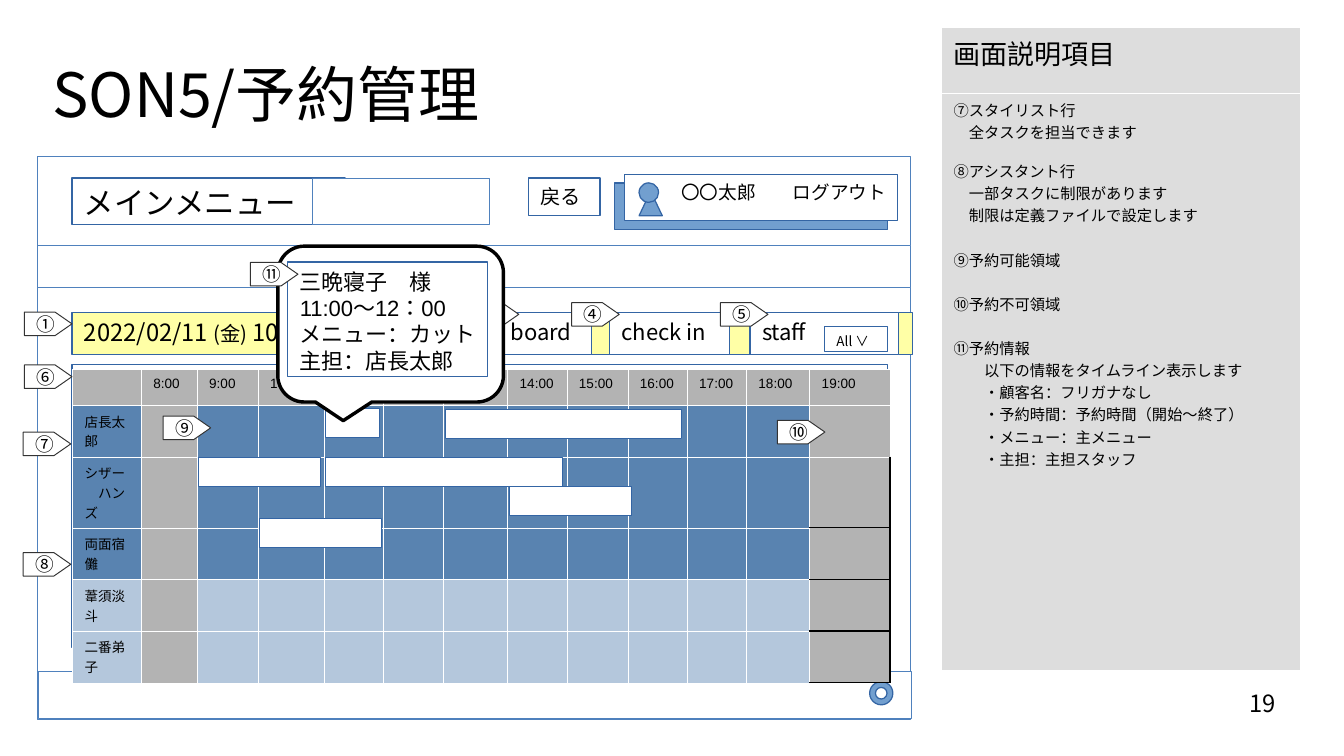
"""Build the booking management screen slide."""
import itertools
import lxml.etree
import pptx
import pptx.dml.color
import pptx.enum.shapes
import pptx.enum.text
import pptx.oxml.ns
import pptx.util

Pt = pptx.util.Pt
RGB = pptx.dml.color.RGBColor
qn = pptx.oxml.ns.qn
KIND = pptx.enum.shapes.MSO_SHAPE
ALIGN = pptx.enum.text.PP_ALIGN
ANCHOR = pptx.enum.text.MSO_ANCHOR

WHITE = RGB(0xFF, 0xFF, 0xFF)
BLACK = RGB(0, 0, 0)
EDGE = RGB(0x34, 0x65, 0xA4)
FRAME = RGB(0x4F, 0x81, 0xBD)
BLUE = RGB(0x72, 0x9F, 0xCF)
CREAM = RGB(0xFF, 0xFF, 0xA6)
PANEL = RGB(0xDD, 0xDD, 0xDD)
GRAY = RGB(0xB3, 0xB3, 0xB3)
DARK = RGB(0x59, 0x83, 0xB0)
PALE = RGB(0xB4, 0xC7, 0xDC)
INK = RGB(0x33, 0x33, 0x33)
NOTO, ARIAL = "Noto Sans CJK JP", "Arial"

TITLE = "SON5/予約管理"
PAGE = "19"
HEAD = "画面説明項目"
NOTES = [
    ("⑦スタイリスト行", 0, 0),
    ("全タスクを担当できます", 1, 0),
    ("⑧アシスタント行", 0, 10),
    ("一部タスクに制限があります", 1, 0),
    ("制限は定義ファイルで設定します", 1, 0),
    ("⑨予約可能領域", 0, 13),
    ("⑩予約不可領域", 0, 13),
    ("⑪予約情報", 0, 13),
    ("以下の情報をタイムライン表示します", 2, 0),
    ("・顧客名：フリガナなし", 2, 0),
    ("・予約時間：予約時間（開始～終了）", 2, 0),
    ("・メニュー：主メニュー", 2, 0),
    ("・主担：主担スタッフ", 2, 0),
]
STAFF = [
    (["店長太郎"], DARK, 30.5),
    (["シザー", "ハンズ"], DARK, 42),
    (["両面宿儺"], DARK, 30.5),
    (["葦須淡斗"], PALE, 30.5),
    (["二番弟子"], PALE, 30.5),
]
COLS = [40.6, 33, 36, 39, 35.2, 35.4, 37.8, 35, 36, 35, 35, 37.4, 47.6]
GRID = (42.7, 218.2)
TOP = 21
FIRST = 8
BANDS = [
    (22.3, 92.2, 515.5, 332.6),
    (22.3, 144.7, 515.5, 25.2),
    (22.8, 396.7, 515.5, 27.4),
]
USER = ("〇〇太郎", "ログアウト")
FIELDS = [
    ("check in", 360, 184.3, 70.6, 25.2, 13),
    ("board", 294.5, 184.3, 54.7, 25.2, 13),
    ("staff", 442.8, 184.3, 87.8, 25.2, 13),
    ("All ∨", 486.7, 193, 37.4, 14.4, 8),
]
SLOTS = [
    (9, 270, 72), (11, 270, 139.7), (13, 241.9, 139.7),
    (10, 306, 72), (11, 241.2, 31.7), (14, 287.3, 72),
]
TAGS = [
    ("①", 14.4, 184.3), ("⑥", 14.4, 215.5), ("⑦", 13.7, 255.2),
    ("⑧", 13.7, 326.3), ("⑨", 96.3, 245.7), ("③", 278.2, 178.7),
    ("④", 337.5, 178.7), ("⑩", 458.9, 248.2), ("⑤", 425.3, 178.7),
]
LAST = ("⑪", 147.8, 155)
GUEST = [("三晩寝子　様", NOTO), ("11:00～12：00", ARIAL),
         ("メニュー：カット", NOTO), ("主担：店長太郎", NOTO)]

deck = pptx.Presentation()
deck.slide_width, deck.slide_height = Pt(793.44), Pt(446.4)
slide = deck.slides.add_slide(deck.slide_layouts[6])
shapes = slide.shapes


def style(par, size, font=NOTO, align=ALIGN.LEFT, indent=0):
    par.alignment = align
    par.font.size = Pt(size)
    par.font.name = font
    par.font.color.rgb = BLACK
    prop = par._p.get_or_add_pPr()
    if indent:
        prop.set("indent", str(Pt(indent)))
    lxml.etree.SubElement(prop.find(qn("a:defRPr")), qn("a:ea"), typeface=NOTO)


def write(frame, lines, size, font=NOTO, align=ALIGN.LEFT):
    frame.word_wrap = True
    for i, line in enumerate(lines):
        par = frame.paragraphs[0] if i == 0 else frame.add_paragraph()
        par.text = line
        style(par, size, font, align)
    return frame.paragraphs


def shape(kind, x, y, w, h, fill=WHITE, line=EDGE, width=0, text="", size=11):
    item = shapes.add_shape(kind, Pt(x), Pt(y), Pt(w), Pt(h))
    item.shadow.inherit = False
    item.fill.solid()
    item.fill.fore_color.rgb = fill
    item.line.color.rgb = line
    item.line.width = Pt(width)
    frame = item.text_frame
    frame.margin_left, frame.margin_right = Pt(7.2), 0
    frame.vertical_anchor = ANCHOR.TOP
    if text:
        write(frame, [text], size)
    return item


def box(x, y, w, h, **more):
    return shape(KIND.RECTANGLE, x, y, w, h, **more)


def label(text, x, y, w, h, size, align=ALIGN.LEFT, anchor=ANCHOR.TOP):
    frame = shapes.add_textbox(Pt(x), Pt(y), Pt(w), Pt(h)).text_frame
    frame.margin_left = frame.margin_right = 0
    frame.margin_top = frame.margin_bottom = 0
    frame.vertical_anchor = anchor
    write(frame, [text], size, align=align)


def tag(text, x, y):
    item = shape(KIND.PENTAGON, x, y, 28.1, 13.9, line=INK, width=0.57, text=text)
    item.adjustments[0] = 0.72
    item.text_frame.vertical_anchor = ANCHOR.MIDDLE


def table(x, y, cols, rows):
    item = shapes.add_table(len(rows), len(cols), Pt(x), Pt(y),
                            Pt(sum(cols)), Pt(sum(rows))).table
    item.first_row = item.horz_banding = False
    for parts, sizes, name in ((item.columns, cols, "width"), (item.rows, rows, "height")):
        for part, size in zip(parts, sizes):
            setattr(part, name, Pt(size))
    return item


def paint(cell, fill, dark=""):
    prop = cell._tc.get_or_add_tcPr()
    for side in "LRTB":
        wide, color = (1, BLACK) if side in dark else (0.06, WHITE)
        line = lxml.etree.SubElement(prop, qn("a:ln" + side), w=str(Pt(wide)))
        solid = lxml.etree.SubElement(line, qn("a:solidFill"))
        lxml.etree.SubElement(solid, qn("a:srgbClr"), val=str(color))
    cell.margin_left = cell.margin_right = Pt(7.2)
    cell.margin_top = cell.margin_bottom = Pt(3.6)
    cell.fill.solid()
    cell.fill.fore_color.rgb = fill


def panel():
    side = table(555.8, 15.8, [211.7], [39, 341])
    for row, (lines, size) in enumerate([([HEAD], 16), ([n[0] for n in NOTES], 9)]):
        cell = side.cell(row, 0)
        paint(cell, PANEL)
        write(cell.text_frame, lines, size)
    for par, (_, depth, gap) in zip(side.cell(1, 0).text_frame.paragraphs, NOTES):
        par.space_before = Pt(gap)
        par._p.get_or_add_pPr().set("indent", str(Pt(9 * depth)))


def plan():
    rows = [([], GRAY, TOP)] + STAFF
    grid = table(*GRID, COLS, [row[2] for row in rows])
    end = len(COLS) - 1
    for r, (names, fill, _) in enumerate(rows):
        for c in range(len(COLS)):
            cell = grid.cell(r, c)
            dark = ("RB" if r == 2 else "RTB") if c == end and r > 1 else ""
            paint(cell, GRAY if c in (1, end) else fill, dark)
            hour = [f"{FIRST + c - 1}:00"] if r == 0 and c else []
            lines = names if c == 0 else hour
            pars = write(cell.text_frame, lines or [""], 8, ARIAL)
            if not lines:
                lxml.etree.SubElement(pars[0]._p, qn("a:endParaRPr"), sz="800")
            if len(lines) > 1:
                pars[1]._p.get_or_add_pPr().set("indent", str(Pt(8)))


def badge():
    box(362.9, 108, 161.3, 27.4, fill=BLUE)
    item = box(368.6, 103, 161.3, 27.4, text="\t".join(USER))
    item.text_frame.margin_left = Pt(33.5)
    prop = item.text_frame.paragraphs[0]._p.get_or_add_pPr()
    tabs = lxml.etree.Element(qn("a:tabLst"))
    lxml.etree.SubElement(tabs, qn("a:tab"), pos=str(Pt(66)), algn="l")
    prop.insert(0, tabs)
    shape(KIND.ISOSCELES_TRIANGLE, 377.3, 113, 13.7, 14.4, fill=BLUE)
    shape(KIND.OVAL, 377.3, 108, 11.5, 11.5, fill=BLUE)


def popup():
    item = shape(KIND.ROUNDED_RECTANGULAR_CALLOUT, 164, 145.4, 133.2, 92,
                 line=BLACK, width=2)
    for i, part in enumerate((-0.21, 0.62, 0.17)):
        item.adjustments[i] = part
    frame = box(169.9, 154.8, 118.1, 67.7).text_frame
    for par, (_, font) in zip(write(frame, [g[0] for g in GUEST], 13), GUEST):
        par.font.name = font
        par.line_spacing = Pt(15.6)


label(TITLE, 31, 18, 365.8, 74.2, 36, anchor=ANCHOR.MIDDLE)
for band in BANDS:
    box(*band, line=FRAME, width=0.5)
panel()
box(42.5, 105.1, 161.3, 27.4, text="メインメニュー", size=18)
box(184.3, 105.1, 104.4, 27.4, line=FRAME, width=0.5)
badge()
box(311.8, 105.1, 42.5, 22.3, text="戻る", size=12)
shape(KIND.DONUT, 513.4, 402.5, 13.7, 13.7, fill=BLUE)
date = box(42.5, 184.3, 496.1, 25.2, fill=CREAM, text="2022/02/11 ", size=14)
for text, size in (("(金) ", 12), ("10:35", 14)):
    run = date.text_frame.paragraphs[0].add_run()
    run.text = text
    run.font.size = Pt(size)
box(42.5, 215.3, 481.7, 167)
plan()
for text, x, y, w, h, size in FIELDS:
    box(x, y, w, h, text=text, size=size)
edges = list(itertools.accumulate(COLS, initial=GRID[0]))
for hour, y, w in SLOTS:
    box(edges[hour - FIRST + 1] + 1, y, w, 17.3)
for item in TAGS:
    tag(*item)
popup()
tag(*LAST)
label(PAGE, 568.8, 406.8, 184.3, 30.2, 14, ALIGN.RIGHT)
deck.save("out.pptx")
